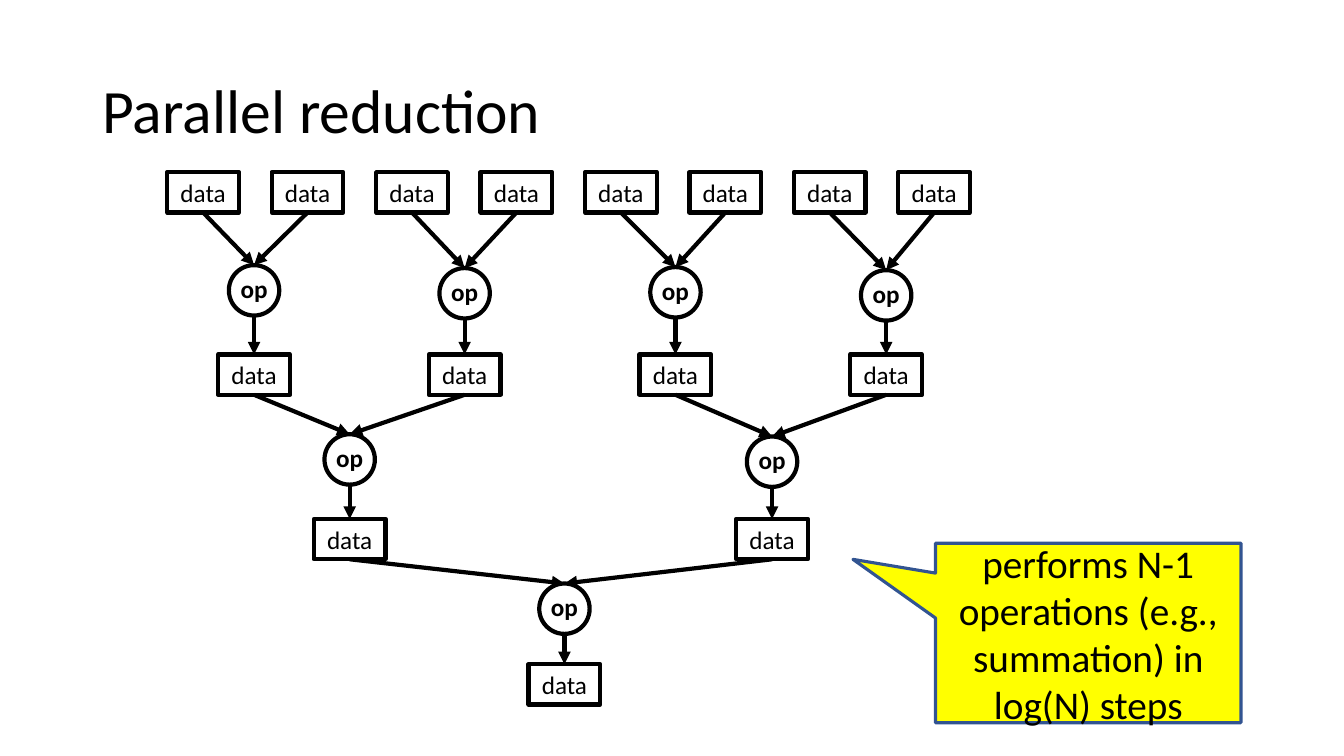
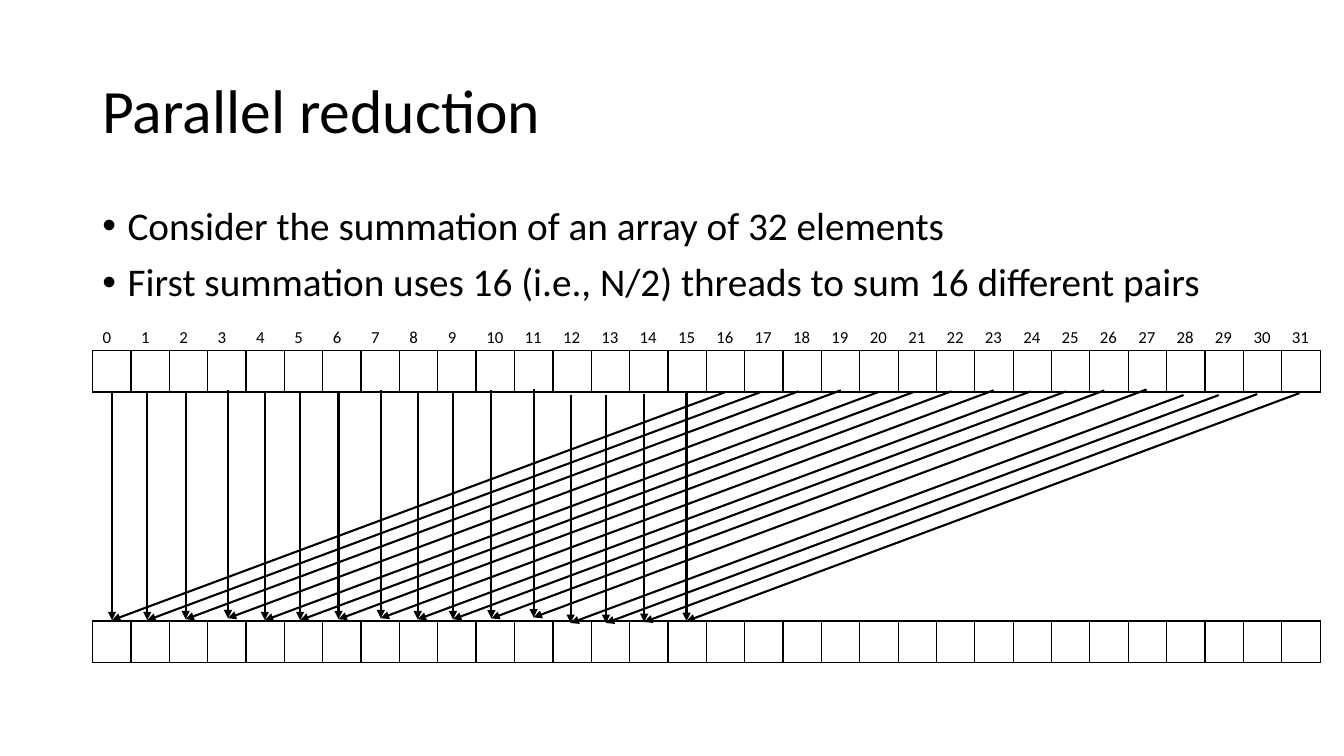
from lxml import etree
from pptx import Presentation
from pptx.dml.color import RGBColor
from pptx.enum.shapes import MSO_CONNECTOR, MSO_SHAPE
from pptx.enum.text import MSO_ANCHOR, MSO_AUTO_SIZE, PP_ALIGN
from pptx.oxml.ns import qn
from pptx.util import Pt

BLACK = RGBColor(0, 0, 0)
WHITE = RGBColor(255, 255, 255)
YELLOW = RGBColor(255, 255, 0)
NAVY = RGBColor(0x32, 0x54, 0x91)

FONT = "Calibri"
NO_TABLE_STYLE = "{2D5ABB26-0587-4C30-8999-92F81FD0307C}"
TITLE_ONLY, TITLE_AND_CONTENT = 5, 1
TITLE_BOX = (66, 29, 828, 104.4)
BODY_BOX = (66, 144, 828, 342.7)

# Reduction tree, relative to its top left corner
DATA_WIDTH, DATA_HEIGHT = 51.2, 28.8
OP_SIZE = 36
LEAF_COUNT, LEAF_PITCH = 8, 74.6
# Each level: operator centres, operator tops, top of the results below
TREE_LEVELS = [
    ((62, 212.4, 363, 513.5), (66.4, 68.5, 67.8, 70), 130.2),
    ((130.3, 432), (187.2, 188.8), 247.7),
    ((283.7,), (293.8,), 351.5),
]

# Array of elements and the threads that sum it
ELEMENT_COUNT, CHUNK = 32, 10
CELL_WIDTH, CELL_HEIGHT = 27.4, 29.4
GROUP_PITCH, PARTNER_DISTANCE, ARROW_HEIGHT = 109.2, 437.8, 162.8
GROUP_TOPS = (29.6, 29.6, 29, 31.6)
THREAD_OFFSETS = ((13.8, 0), (39, 0), (66.4, -0.7), (96.6, -1.4))


def apply_format(target, values):
    for name, value in values.items():
        setattr(target, name, value)


def place(shape, box):
    names = ("left", "top", "width", "height")
    apply_format(shape, dict(zip(names, map(Pt, box))))


def style_font(paragraph, size, bold=False):
    apply_format(paragraph.font, {"name": FONT, "size": Pt(size), "bold": bold})
    paragraph.font.color.rgb = BLACK


def add_title(slide, text):
    title = slide.shapes.title
    place(title, TITLE_BOX)
    frame = title.text_frame
    frame.text = text
    apply_format(frame, {"vertical_anchor": MSO_ANCHOR.MIDDLE, "word_wrap": True,
                         "auto_size": MSO_AUTO_SIZE.NONE})
    paragraph = frame.paragraphs[0]
    apply_format(paragraph, {"alignment": PP_ALIGN.LEFT, "line_spacing": 0.9})
    style_font(paragraph, 44)


def add_bullets(slide, lines):
    body = slide.placeholders[1]
    place(body, BODY_BOX)
    frame = body.text_frame
    frame.text = "\n".join(lines)
    frame.auto_size = MSO_AUTO_SIZE.NONE
    for index, paragraph in enumerate(frame.paragraphs):
        properties = paragraph._p.get_or_add_pPr()
        properties.set("marL", str(Pt(18)))
        properties.set("indent", str(-Pt(18)))
        apply_format(paragraph, {"line_spacing": 0.9,
                                 "space_before": Pt(10 if index else 0)})
        style_font(paragraph, 28)


def add_box(slide, kind, box, text, size, line, fill=None, bold=False, **frame_format):
    shape = slide.shapes.add_shape(kind, *map(Pt, box))
    shape.shadow.inherit = False
    if fill is None:
        shape.fill.background()
    else:
        shape.fill.solid()
        shape.fill.fore_color.rgb = fill
    color, width = line
    shape.line.color.rgb = color
    shape.line.width = Pt(width)
    frame = shape.text_frame
    frame.text = text
    apply_format(frame, {"vertical_anchor": MSO_ANCHOR.MIDDLE, **frame_format})
    frame.paragraphs[0].alignment = PP_ALIGN.CENTER
    style_font(frame.paragraphs[0], size, bold)
    return shape


def add_arrow(slide, start, end, width):
    connector = slide.shapes.add_connector(
        MSO_CONNECTOR.STRAIGHT, *map(Pt, (*start, *end)))
    connector.line.color.rgb = BLACK
    connector.line.width = Pt(width)
    properties = connector._element.spPr
    etree.SubElement(properties.find(qn("a:ln")), qn("a:tailEnd"), type="triangle")
    etree.SubElement(properties, qn("a:effectLst"))


def add_data(slide, center, top):
    """Draw a data box and return the middle of its lower edge."""
    add_box(slide, MSO_SHAPE.RECTANGLE,
            (center - DATA_WIDTH / 2, top, DATA_WIDTH, DATA_HEIGHT),
            "data", 18, (BLACK, 3), word_wrap=False)
    return center, top + DATA_HEIGHT


def add_op(slide, center, top):
    add_box(slide, MSO_SHAPE.FLOWCHART_CONNECTOR,
            (center - OP_SIZE / 2, top, OP_SIZE, OP_SIZE),
            "op", 18, (BLACK, 3), WHITE, True, word_wrap=False,
            margin_left=0, margin_right=0, margin_top=0, margin_bottom=Pt(3))


def draw_tree(slide, left, top):
    sources = [add_data(slide, left + DATA_WIDTH / 2 + index * LEAF_PITCH, top)
               for index in range(LEAF_COUNT)]
    arrows = []
    for centers, op_tops, data_top in TREE_LEVELS:
        results = []
        for index, (offset, op_top) in enumerate(zip(centers, op_tops)):
            center, op_y = left + offset, top + op_top
            add_op(slide, center, op_y)
            results.append(add_data(slide, center, top + data_top))
            arrows += [(source, (center, op_y))
                       for source in sources[2 * index:2 * index + 2]]
            arrows.append(((center, op_y + OP_SIZE), (center, top + data_top)))
        sources = results
    for start, end in arrows:
        add_arrow(slide, start, end, 3)


def add_cell_borders(cell):
    properties = cell._tc.get_or_add_tcPr()
    for index, side in enumerate(("a:lnL", "a:lnR", "a:lnT", "a:lnB")):
        line = etree.Element(qn(side), w=str(Pt(1)))
        fill = etree.SubElement(line, qn("a:solidFill"))
        etree.SubElement(fill, qn("a:srgbClr"), val=str(BLACK))
        properties.insert(index, line)


def draw_array(slide, left, top, labelled=False):
    """Draw a row of elements, either bordered cells or their indices."""
    for first in range(0, ELEMENT_COUNT, CHUNK):
        count = min(CHUNK, ELEMENT_COUNT - first)
        box = (left + first * CELL_WIDTH, top, count * CELL_WIDTH, CELL_HEIGHT)
        table = slide.shapes.add_table(1, count, *map(Pt, box)).table
        apply_format(table, {"first_row": False, "horz_banding": False})
        table._tbl.tblPr.find(qn("a:tableStyleId")).text = NO_TABLE_STYLE
        for index, column in enumerate(table.columns):
            column.width = Pt(CELL_WIDTH)
            cell = table.cell(0, index)
            cell.fill.background()
            if labelled:
                cell.text = str(first + index)
                style_font(cell.text_frame.paragraphs[0], 12)
            else:
                add_cell_borders(cell)


def draw_threads(slide, left, top):
    """Each thread adds an element and its partner half an array away."""
    for group, group_top in enumerate(GROUP_TOPS):
        for x_offset, y_offset in THREAD_OFFSETS:
            x = left + group * GROUP_PITCH + x_offset
            y = top + group_top + y_offset
            for start in (x, x + PARTNER_DISTANCE):
                add_arrow(slide, (start, y), (x, y + ARROW_HEIGHT), 1.5)


def add_slide(presentation, layout):
    slide = presentation.slides.add_slide(presentation.slide_layouts[layout])
    add_title(slide, "Parallel reduction")
    return slide


def build_tree_slide(presentation):
    slide = add_slide(presentation, TITLE_ONLY)
    draw_tree(slide, 119.5, 123)
    callout = add_box(slide, MSO_SHAPE.RECTANGULAR_CALLOUT, (668.2, 388, 218.2, 128.2),
                      "performs N-1 operations (e.g., summation) in log(N) steps",
                      28, (NAVY, 2.25), YELLOW, word_wrap=True)
    callout.adjustments[0] = -0.77
    callout.adjustments[1] = -0.41


def build_array_slide(presentation):
    slide = add_slide(presentation, TITLE_AND_CONTENT)
    add_bullets(slide, [
        "Consider the summation of an array of 32 elements",
        "First summation uses 16 (i.e., N/2) threads to sum 16 different pairs",
    ])
    left, top = 66.2, 250.6
    draw_array(slide, left, top)
    draw_array(slide, left, top + 193)
    draw_array(slide, left, top - 20.2, labelled=True)
    draw_threads(slide, left, top)


def main():
    presentation = Presentation()
    apply_format(presentation, {"slide_width": Pt(960), "slide_height": Pt(540)})
    build_tree_slide(presentation)
    build_array_slide(presentation)
    presentation.save("out.pptx")


if __name__ == "__main__":
    main()
